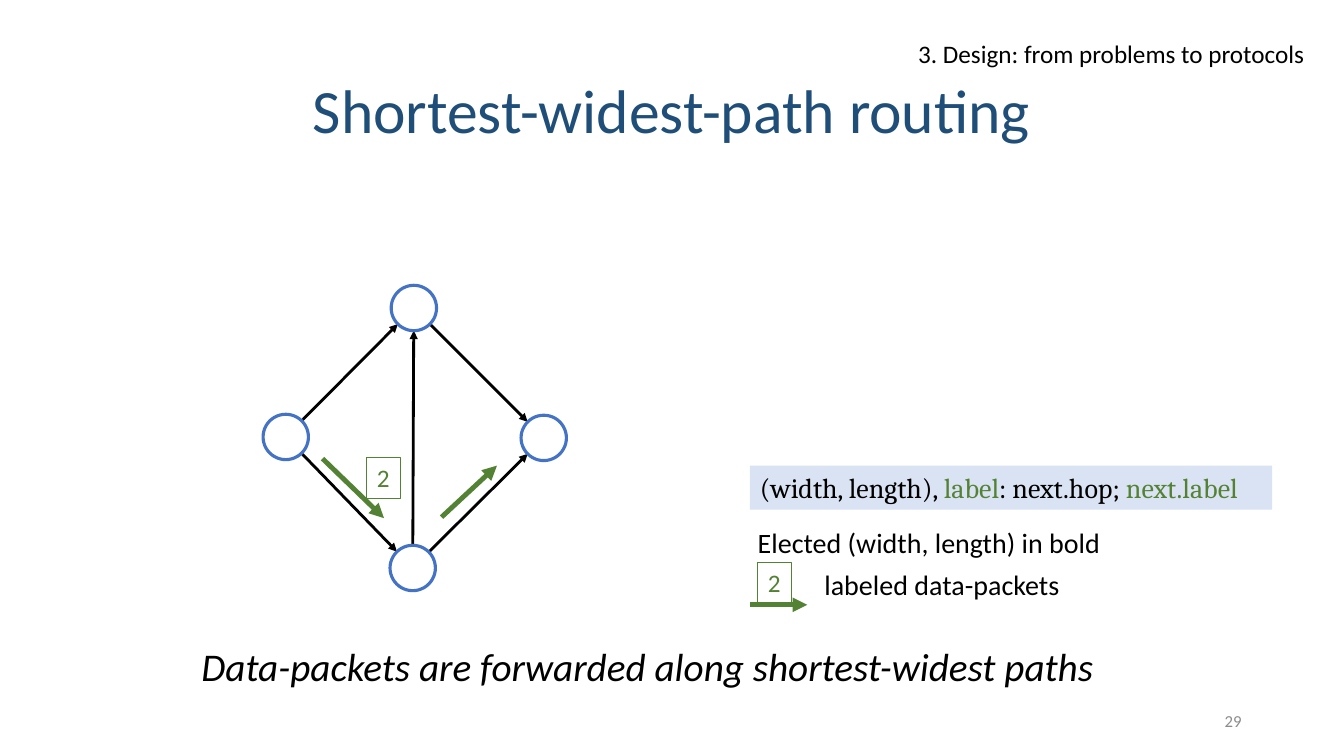
from math import hypot

from lxml.etree import SubElement
from pptx import Presentation
from pptx.dml.color import RGBColor
from pptx.enum.shapes import MSO_CONNECTOR, MSO_SHAPE
from pptx.enum.text import MSO_ANCHOR, MSO_AUTO_SIZE, PP_ALIGN
from pptx.oxml.ns import qn
from pptx.util import Pt

BLACK, GREEN, BLUE, NAVY = "000000", "548235", "4472C4", "1F4E79"
WHITE, PALE_BLUE, GREY = "FFFFFF", "DAE3F3", "8C8C8C"
RADIUS = 16.2

# Node centres and directed links of the network, in points
NODES = {
    "bottom": (294.8, 405.7),
    "top": (295.6, 220),
    "right": (388.4, 312.8),
    "left": (204.1, 312.1),
}
LINKS = [("bottom", "right"), ("bottom", "top"), ("top", "right"),
         ("left", "bottom"), ("left", "top")]
PACKET_ARROWS = [((230.4, 327.6), (274.3, 370.1)),
                 ((315.4, 369.4), (355, 332.6)),
                 ((535.7, 432), (576.7, 432))]
PACKET_LABELS = [(262.1, 326.9), (541.4, 401.8)]


def rgb(color):
    return RGBColor.from_string(color)


class SlideBuilder:
    font = "Calibri"

    def __init__(self, slide):
        self.shapes = slide.shapes

    def paint(self, sp, fill=None, line=None, weight=0.75):
        if fill:
            sp.fill.solid()
            sp.fill.fore_color.rgb = rgb(fill)
        else:
            sp.fill.background()
        if line:
            sp.line.color.rgb = rgb(line)
            sp.line.width = Pt(weight)
        else:
            sp.line.fill.background()

    def node(self, center):
        x, y = center
        sp = self.shapes.add_shape(MSO_SHAPE.OVAL, Pt(x - RADIUS), Pt(y - RADIUS),
                                   Pt(2 * RADIUS), Pt(2 * RADIUS))
        sp.shadow.inherit = False
        self.paint(sp, WHITE, BLUE, 2.25)

    def arrow(self, start, end, color, weight):
        cn = self.shapes.add_connector(MSO_CONNECTOR.STRAIGHT,
                                       *(Pt(v) for v in (*start, *end)))
        cn.line.color.rgb = rgb(color)
        cn.line.width = Pt(weight)
        SubElement(cn.line._get_or_add_ln(), qn("a:tailEnd"), type="triangle")
        SubElement(cn._element.spPr, qn("a:effectLst"))

    def link(self, start, end):
        """Join two node centres with an arrow that stops at the circles."""
        (x1, y1), (x2, y2) = start, end
        scale = RADIUS / hypot(x2 - x1, y2 - y1)
        dx, dy = (x2 - x1) * scale, (y2 - y1) * scale
        self.arrow((x1 + dx, y1 + dy), (x2 - dx, y2 - dy), BLACK, 2)

    def text(self, box, runs, size, wrap=False, anchor=MSO_ANCHOR.TOP,
             align=PP_ALIGN.LEFT, spacing=1.0, grow=True, fill=None,
             line=None, **font):
        """Add a text box; runs is a list of (text, colour) pairs."""
        sp = self.shapes.add_textbox(*(Pt(v) for v in box))
        self.paint(sp, fill, line)
        tf = sp.text_frame
        tf.word_wrap = wrap
        tf.vertical_anchor = anchor
        tf.auto_size = MSO_AUTO_SIZE.SHAPE_TO_FIT_TEXT if grow else MSO_AUTO_SIZE.NONE
        p = tf.paragraphs[0]
        p.alignment = align
        p.line_spacing = spacing
        style = {"name": self.font, "size": Pt(size), **font}
        for words, color in runs:
            r = p.add_run()
            r.text = words
            r.font.color.rgb = rgb(color)
            for key, value in style.items():
                setattr(r.font, key, value)


def main():
    prs = Presentation()
    prs.slide_width, prs.slide_height = Pt(960), Pt(540)
    s = SlideBuilder(prs.slides.add_slide(prs.slide_layouts[6]))

    s.text((66, 28.8, 828, 104.4), [("Shortest-widest-path routing", NAVY)], 44,
           wrap=True, anchor=MSO_ANCHOR.MIDDLE, align=PP_ALIGN.CENTER,
           spacing=0.9, grow=False)
    s.text((648.7, 23.8, 293.8, 29.1),
           [("3. Design: from problems to protocols", BLACK)], 18)

    for start, end in LINKS:
        s.link(NODES[start], NODES[end])
    for center in NODES.values():
        s.node(center)
    for start, end in PACKET_ARROWS:
        s.arrow(start, end, GREEN, 3.5)
    for x, y in PACKET_LABELS:
        s.text((x, y, 23.8, 29.1), [("2", GREEN)], 18, line=GREEN)

    s.text((535.7, 332.6, 373, 31.5),
           [("(width, length), ", BLACK), ("label", GREEN),
            (": next.hop; ", BLACK), ("next.label", GREEN)],
           20, wrap=True, fill=PALE_BLUE, name="Cambria")
    s.text((534.2, 371.5, 261.4, 31.5),
           [("Elected (width, length) in bold", BLACK)], 20)
    s.text((581.8, 401.8, 184.3, 31.5), [("labeled data-packets", BLACK)], 20)
    s.text((136.8, 455, 717.8, 41),
           [("Data-packets are forwarded along shortest-widest paths", BLACK)],
           28, wrap=True, italic=True)
    s.text((678, 500.5, 216, 28.8), [("29", GREY)], 12, wrap=True,
           anchor=MSO_ANCHOR.MIDDLE, align=PP_ALIGN.RIGHT, grow=False)

    prs.save("out.pptx")


if __name__ == "__main__":
    main()
